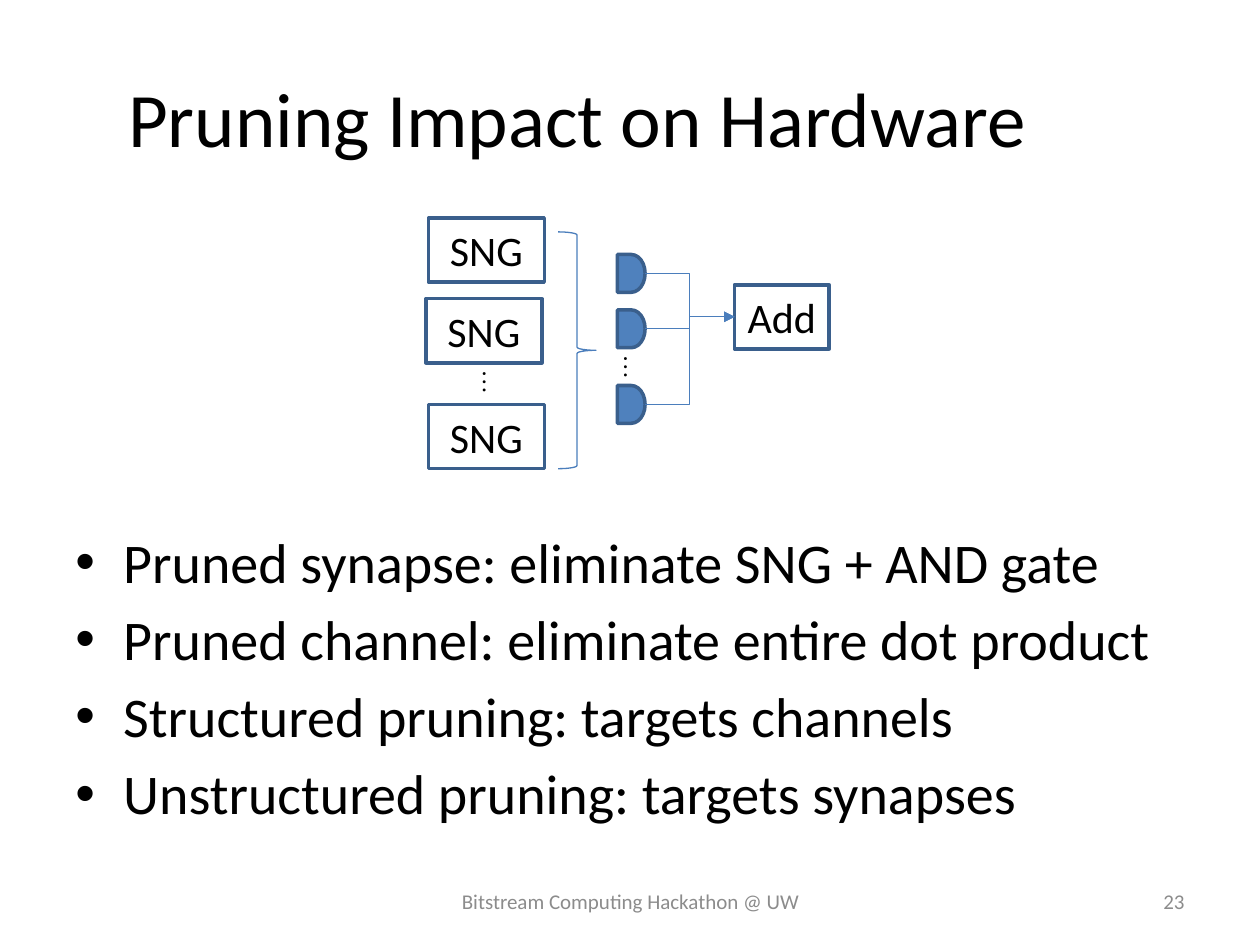
from lxml.etree import SubElement
from pptx import Presentation
from pptx.dml.color import RGBColor
from pptx.enum.shapes import MSO_CONNECTOR, MSO_SHAPE
from pptx.enum.text import MSO_ANCHOR, PP_ALIGN
from pptx.oxml.ns import qn
from pptx.util import Inches, Pt

BLACK = RGBColor(0x00, 0x00, 0x00)
GREY = RGBColor(0x8C, 0x8C, 0x8C)
BLUE = RGBColor(0x4F, 0x81, 0xBD)
EDGE = RGBColor(0x3A, 0x5F, 0x8C)
WIRE = RGBColor(0x4B, 0x7E, 0xBC)

COLS, ROWS = 100, 75
LEFT, RIGHT = 1, 3  # connection sites
INDENT = Inches(0.38)

POINTS = [
    "Pruned synapse: eliminate SNG + AND gate",
    "Pruned channel: eliminate entire dot product",
    "Structured pruning: targets channels",
    "Unstructured pruning: targets synapses",
]


class Board:
    """Draws on one slide; places are (left, top, width, height) in grid cells."""

    def __init__(self, deck):
        self.slide = deck.slides.add_slide(deck.slide_layouts[6])
        self.shapes = self.slide.shapes
        self.col = deck.slide_width / COLS
        self.row = deck.slide_height / ROWS

    def spot(self, place):
        x, y, w, h = place
        return [round(n) for n in (x * self.col, y * self.row, w * self.col, h * self.row)]

    def letter(self, shape, lines, size, align=PP_ALIGN.CENTER, font="Calibri",
               color=BLACK, **frame):
        """Set the lines, one paragraph each, and their style in a shape."""
        text = shape.text_frame
        style = {"word_wrap": True, "vertical_anchor": MSO_ANCHOR.MIDDLE} | frame
        for name, value in style.items():
            setattr(text, name, value)
        text.text = "\n".join(lines)
        for para in text.paragraphs:
            para.alignment = align
            look = {"name": font, "size": Pt(size)}
            for name, value in look.items():
                setattr(para.font, name, value)
            para.font.color.rgb = color
        return text

    def text(self, place, lines, size, turn=0, **style):
        box = self.shapes.add_textbox(*self.spot(place))
        box.rotation = turn
        return self.letter(box, lines, size, **style)

    def bullets(self, place, lines, size):
        text = self.text(place, lines, size, align=PP_ALIGN.LEFT,
                         vertical_anchor=MSO_ANCHOR.TOP)
        for para in text.paragraphs:
            para.space_before = Pt(5.6)
            props = para._p.get_or_add_pPr()
            # The bullet must come before the default run properties.
            for tail in props.findall(qn("a:defRPr")):
                props.remove(tail)
                para_font = tail
            props.set("marL", str(INDENT))
            props.set("indent", str(-INDENT))
            SubElement(props, qn("a:buFont")).set("typeface", "Arial")
            SubElement(props, qn("a:buChar")).set("char", "•")
            props.append(para_font)

    def shape(self, kind, place, fill=None, line=EDGE, width=2):
        shape = self.shapes.add_shape(kind, *self.spot(place))
        shape.shadow.inherit = False
        if fill is None:
            shape.fill.background()
        else:
            shape.fill.solid()
            shape.fill.fore_color.rgb = fill
        shape.line.color.rgb = line
        shape.line.width = Pt(width)
        return shape

    def block(self, place, label):
        shape = self.shape(MSO_SHAPE.RECTANGLE, place)
        self.letter(shape, [label], 24, margin_left=0, margin_right=0)
        return shape

    def dots(self, place):
        self.text(place, ["…"], 14, turn=270, align=PP_ALIGN.LEFT,
                  font="Times New Roman", word_wrap=False,
                  vertical_anchor=MSO_ANCHOR.TOP)

    def wire(self, start, end):
        """Elbow arrow from the right of one shape to the left of another."""
        link = self.shapes.add_connector(MSO_CONNECTOR.ELBOW, 0, 0, 0, 0)
        link.begin_connect(start, RIGHT)
        link.end_connect(end, LEFT)
        link.line.color.rgb = WIRE
        link.line.width = Pt(0.75)
        props = link._element.spPr
        SubElement(props.find(qn("a:ln")), qn("a:tailEnd")).set("type", "triangle")
        SubElement(props, qn("a:effectLst"))


def main():
    deck = Presentation()
    deck.slide_width, deck.slide_height = Inches(10), Inches(7.5)
    board = Board(deck)

    board.text((5, 3, 81.7, 12.5), ["Pruning Impact on Hardware"], 44)
    board.bullets((5, 41.4, 90, 25.6), POINTS, 32)
    board.text((34.2, 69.5, 31.7, 4), ["Bitstream Computing Hackathon @ UW"], 12, color=GREY)
    board.text((83.3, 69.5, 11.7, 4), ["23"], 12, align=PP_ALIGN.RIGHT, color=GREY)

    adder = board.block((58.3, 22.6, 7.5, 5.1), "Add")
    for y in (20.2, 24.6, 30.6):
        gate = board.shape(MSO_SHAPE.FLOWCHART_DELAY, (49, y, 2.2, 3), fill=BLUE)
        board.wire(gate, adder)
    for x, y in ((34, 17.3), (33.8, 23.7), (34, 32.1)):
        board.block((x, y, 9.2, 5.1), "SNG")
    board.shape(MSO_SHAPE.RIGHT_BRACE, (44.3, 18.4, 3, 18.8), line=WIRE, width=0.75)
    for x, y in ((47, 27.4), (35.8, 28.6)):
        board.dots((x, y, 4, 3.4))

    deck.save("out.pptx")


if __name__ == "__main__":
    main()
